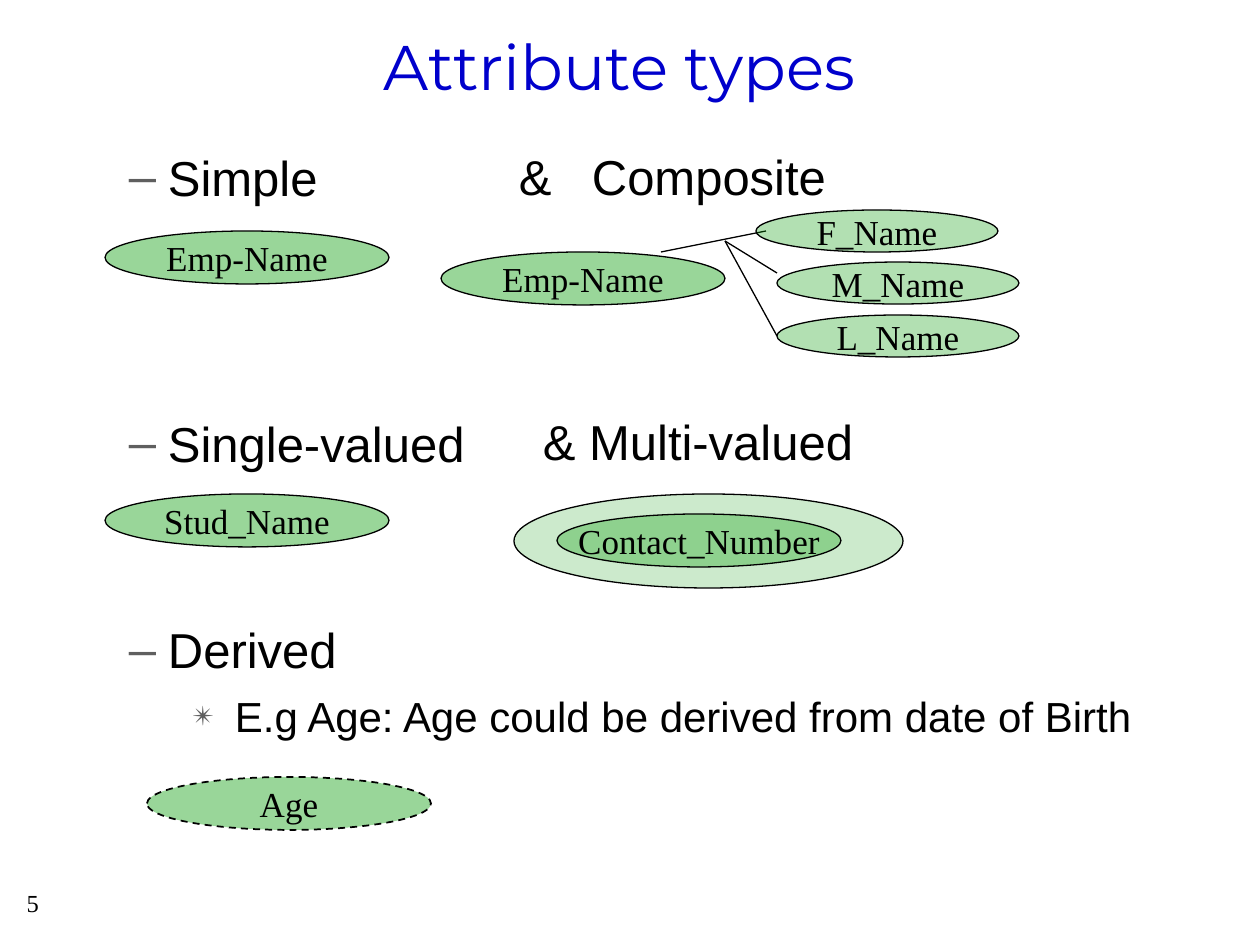
"""Slide on attribute types, with ER-style ellipses for each kind."""
from typing import Any, NamedTuple

from lxml.etree import SubElement
from pptx import Presentation
from pptx.dml.color import RGBColor
from pptx.enum.dml import MSO_LINE_DASH_STYLE as Dash
from pptx.enum.shapes import MSO_CONNECTOR as Conn, MSO_SHAPE as Shape
from pptx.enum.text import MSO_ANCHOR as Anchor, PP_ALIGN as Align
from pptx.oxml.ns import qn
from pptx.util import Emu, Pt

EMU_PER_PX = 914400 / 126
BLACK, GREEN, GREY, BLUE = "000000", "009900", "5F5F5F", "0000CC"
SANS, SERIF, DISPLAY = "Arial", "Times New Roman", "Montserrat"


class Oval(NamedTuple):
    text: str
    x: int
    y: int
    w: int = 284
    h: int = 53
    alpha: int = 40
    dashed: bool = False


class Link(NamedTuple):
    x1: int
    y1: int
    x2: int
    y2: int


class Bullet(NamedTuple):
    text: str
    size: int
    before: float
    margin: int
    hang: int
    char: str
    scale: int = 100


class Label(NamedTuple):
    text: str
    x: int
    y: int
    w: int
    h: int
    size: int
    font: str = SANS
    color: str = BLACK
    align: Any = Align.LEFT
    anchor: Any = Anchor.TOP
    inset_x: int = 0
    inset_y: int = 0


BULLETS = [
    Bullet("Simple", 28, 0, 102, 39, "–"),
    Bullet("Single-valued", 28, 118.5, 102, 39, "–"),
    Bullet("Derived", 28, 84.4, 102, 39, "–"),
    Bullet("E.g Age: Age could be derived from date of Birth", 24, 7, 169, 43, "✴", 65),
]
LABELS = [
    Label("Attribute types", 105, 21, 1029, 88, 36, DISPLAY, BLUE,
          Align.CENTER, Anchor.BOTTOM, 13, 6),
    Label("&", 519, 147, 50, 57, 28),
    Label("Composite", 592, 147, 250, 57, 28),
    Label("& Multi-valued", 543, 412, 330, 57, 28),
    Label("5", 0, 882, 52, 63, 14, SERIF, BLACK, Align.RIGHT, Anchor.TOP, 13, 6),
]
SINGLES = [
    Oval("Emp-Name", 105, 231),
    Oval("Stud_Name", 105, 494),
    Oval("Age", 147, 777, dashed=True),
]
COMPOSITE = [
    Oval("Emp-Name", 441, 252),
    Link(661, 252, 766, 231),
    Oval("F_Name", 756, 210, 242, 42, 30),
    Oval("M_Name", 777, 262, 242, 42, 30),
    Oval("L_Name", 777, 315, 242, 42, 30),
    Link(725, 241, 777, 336),
    Link(725, 241, 777, 273),
]
MULTI_VALUED = [
    Oval("", 514, 494, 389, 94, 20),
    Oval("Contact_Number", 557, 514, alpha=30),
]


def px(n: int) -> Emu:
    """Turn pixels into EMU."""
    return Emu(round(n * EMU_PER_PX))


def rgb(color: str) -> RGBColor:
    """Turn a hex string into a colour."""
    return RGBColor.from_string(color)


def add_run(p: Any, text: str, size: int, font: str, color: str) -> None:
    """Append one styled run to a paragraph."""
    r = p.add_run()
    r.text = text
    r.font.size = Pt(size)
    r.font.name = font
    r.font.color.rgb = rgb(color)


def set_insets(tf: Any, x: int, y: int) -> None:
    """Set the horizontal and vertical insets of a text frame."""
    tf.margin_left = tf.margin_right = px(x)
    tf.margin_top = tf.margin_bottom = px(y)


def add_label(shapes: Any, label: Label) -> None:
    """Draw a one-line text box."""
    sp = shapes.add_textbox(px(label.x), px(label.y), px(label.w), px(label.h))
    tf = sp.text_frame
    tf.word_wrap = True
    tf.vertical_anchor = label.anchor
    set_insets(tf, label.inset_x, label.inset_y)
    p = tf.paragraphs[0]
    p.alignment = label.align
    add_run(p, label.text, label.size, label.font, label.color)


def add_bullets(shapes: Any, bullets: list[Bullet]) -> None:
    """Draw the body text as a hanging bullet list."""
    sp = shapes.add_textbox(px(53), px(136), px(1155), px(724))
    tf = sp.text_frame
    tf.word_wrap = True
    set_insets(tf, 13, 11)
    for i, b in enumerate(bullets):
        p = tf.add_paragraph() if i else tf.paragraphs[0]
        p.space_before = Pt(b.before)
        pPr = p._p.get_or_add_pPr()
        pPr.set("marL", str(px(b.margin)))
        pPr.set("indent", str(-px(b.hang)))
        SubElement(SubElement(pPr, qn("a:buClr")), qn("a:srgbClr"), val=GREY)
        SubElement(pPr, qn("a:buSzPct"), val=str(b.scale * 1000))
        SubElement(pPr, qn("a:buFont"), typeface=SANS)
        SubElement(pPr, qn("a:buChar"), char=b.char)
        add_run(p, b.text, b.size, SANS, BLACK)


def add_oval(shapes: Any, oval: Oval) -> None:
    """Draw a translucent ellipse with a centred name."""
    sp = shapes.add_shape(Shape.OVAL, px(oval.x), px(oval.y), px(oval.w), px(oval.h))
    sp.shadow.inherit = False
    sp.fill.solid()
    sp.fill.fore_color.rgb = rgb(GREEN)
    clr = sp._element.spPr.find(qn("a:solidFill")).find(qn("a:srgbClr"))
    SubElement(clr, qn("a:alpha"), val=str(oval.alpha * 1000))
    sp.line.color.rgb = rgb(BLACK)
    sp.line.width = Pt(1 if oval.dashed else 0.75)
    if oval.dashed:
        sp.line.dash_style = Dash.DASH
    if oval.text:
        tf = sp.text_frame
        tf.word_wrap = False
        tf.vertical_anchor = Anchor.MIDDLE
        set_insets(tf, 13, 6)
        p = tf.paragraphs[0]
        p.alignment = Align.CENTER
        add_run(p, oval.text, 20, SERIF, BLACK)


def add_link(shapes: Any, link: Link) -> None:
    """Draw a thin straight line."""
    cxn = shapes.add_connector(Conn.STRAIGHT, *map(px, link))
    cxn.line.color.rgb = rgb(BLACK)
    cxn.line.width = Pt(0.75)
    SubElement(cxn._element.spPr, qn("a:effectLst"))


def add_diagram(shapes: Any, parts: list[Oval | Link]) -> None:
    """Draw ellipses and lines in order."""
    for part in parts:
        (add_oval if isinstance(part, Oval) else add_link)(shapes, part)


def main() -> None:
    """Build and save the slide."""
    prs = Presentation()
    prs.slide_width, prs.slide_height = px(1260), px(945)
    s = prs.slides.add_slide(prs.slide_layouts[6])
    add_bullets(s.shapes, BULLETS)
    for label in LABELS:
        add_label(s.shapes, label)
    add_diagram(s.shapes, SINGLES)
    for parts in (COMPOSITE, MULTI_VALUED):
        add_diagram(s.shapes.add_group_shape().shapes, parts)
    prs.save("out.pptx")


if __name__ == "__main__":
    main()
